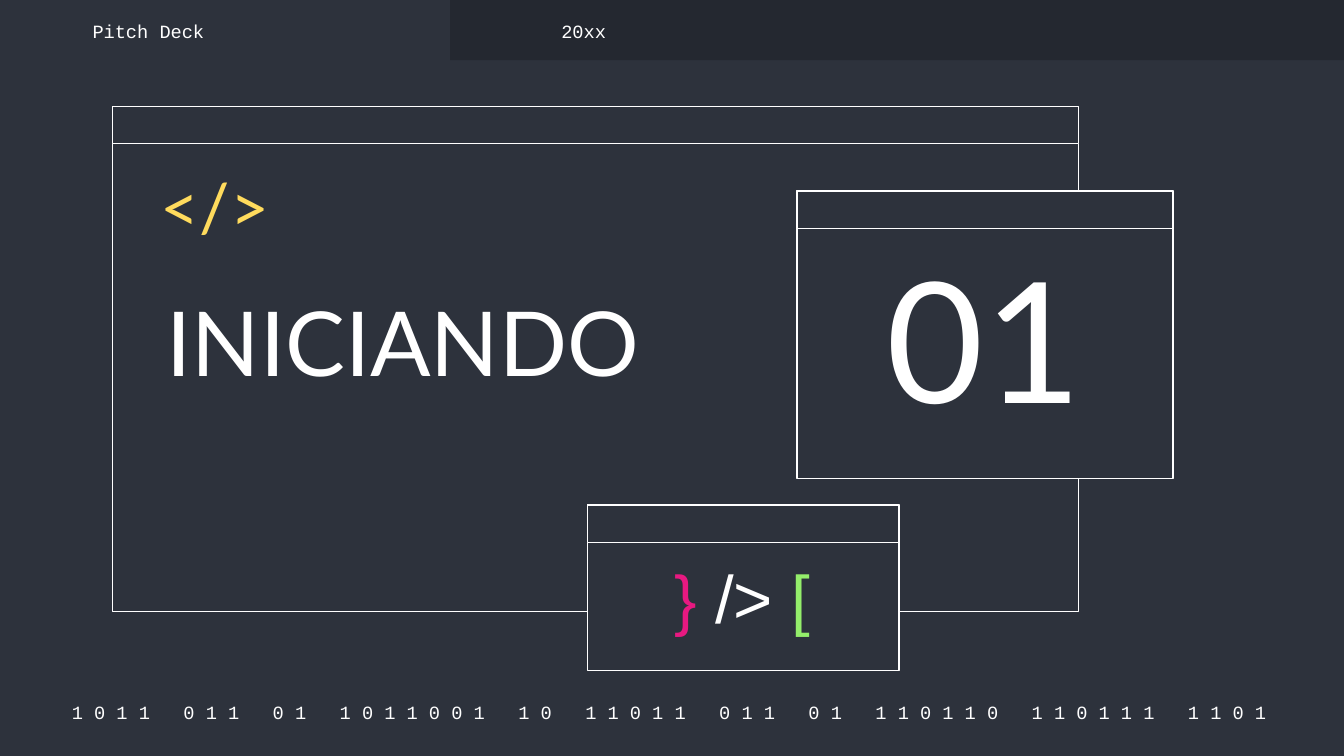
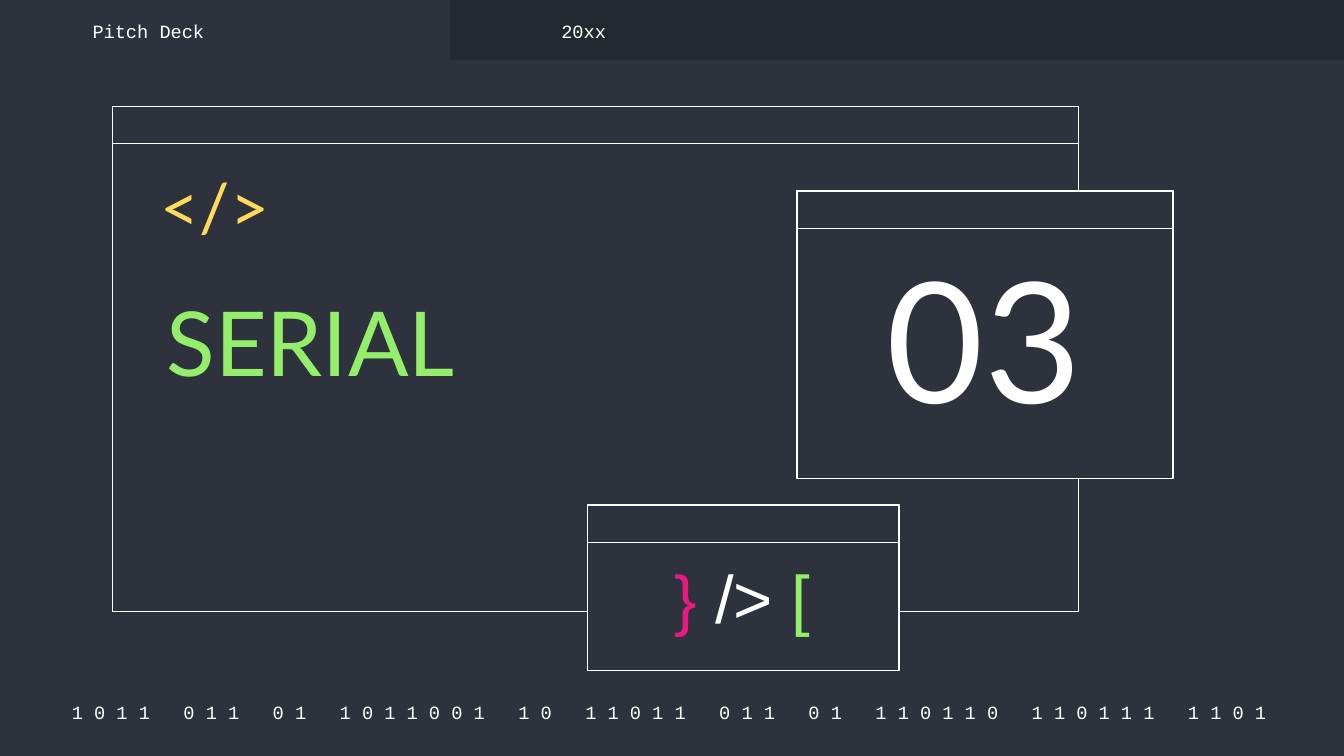
"""Builds the section-opening slides of a code-themed pitch deck."""
from typing import NamedTuple

from pptx import Presentation
from pptx import util as u
from pptx.dml.color import RGBColor
from pptx.enum import shapes, text

BACKDROP, BAND, WHITE = "2D323C", "242830", "FFFFFF"
YELLOW, PINK, GREEN = "FFDB5D", "E81981", "94EE6B"
HEADING_FONT, CODE_FONT, SYMBOL_FONT = "Lato", "Courier New", "Arial"
BAR_HEIGHT = 0.71
BITS = "1011 011 01 1011001 10 11011 011 01 110110 110111 1101"
SPACED_BITS = "   ".join(" ".join(word) for word in BITS.split()) + " "


class Box(NamedTuple):
    left: float
    top: float
    width: float
    height: float

    def lengths(self) -> list[u.Length]:
        return [u.Cm(side) for side in self]


class Run(NamedTuple):
    words: str
    color: str = WHITE


class Section(NamedTuple):
    title: str
    number: str
    color: str


MAIN_WINDOW = Box(2.13, 2.01, 18.26, 9.55)
SNIPPET_WINDOW = Box(11.1, 9.55, 5.89, 3.12)
NUMBER_WINDOW = Box(15.06, 3.61, 7.11, 5.44)
SECTIONS = [Section("INICIANDO", "01", WHITE), Section("SERIAL", "03", GREEN)]


def rgb(color: str) -> RGBColor:
    return RGBColor.from_string(color)


def write(shape, *runs: Run, size: float, font: str = HEADING_FONT,
          align=text.PP_ALIGN.LEFT, anchor=text.MSO_ANCHOR.TOP, spacing: float = 1.0) -> None:
    frame = shape.text_frame
    frame.word_wrap = True
    frame.auto_size = text.MSO_AUTO_SIZE.NONE
    frame.vertical_anchor = anchor
    frame.margin_left = frame.margin_top = frame.margin_right = frame.margin_bottom = u.Cm(0.25)
    paragraph = frame.paragraphs[0]
    paragraph.alignment = align
    paragraph.line_spacing = spacing
    for words, color in runs:
        run = paragraph.add_run()
        run.text = words
        run.font.name = font
        run.font.size = u.Pt(size)
        run.font.color.rgb = rgb(color)


def add_text(slide, box: Box, *runs: Run, **style) -> None:
    write(slide.shapes.add_textbox(*box.lengths()), *runs, **style)


def add_rectangle(owner, box: Box, fill: str, outline: str | None = None) -> None:
    rectangle = owner.shapes.add_shape(shapes.MSO_SHAPE.RECTANGLE, *box.lengths())
    rectangle.shadow.inherit = False
    rectangle.fill.solid()
    rectangle.fill.fore_color.rgb = rgb(fill)
    if outline:
        rectangle.line.color.rgb = rgb(outline)
        rectangle.line.width = u.Pt(0.75)
    else:
        rectangle.line.fill.background()


def add_window(slide, box: Box) -> None:
    window = slide.shapes.add_group_shape()
    for part in (box, box._replace(height=BAR_HEIGHT)):
        add_rectangle(window, part, BACKDROP, WHITE)


def place_title(slide, section: Section) -> None:
    title = slide.shapes.title
    title.left, title.top, title.width, title.height = Box(2.9, 5.18, 12.17, 2.29).lengths()
    title.element.getparent().append(title.element)
    write(title, Run(section.title, section.color), size=48)


def add_frame(slide) -> None:
    label = dict(size=10, font=CODE_FONT, anchor=text.MSO_ANCHOR.MIDDLE)
    add_text(slide, Box(0.97, 13.21, 23.55, 0.51), Run(SPACED_BITS),
             align=text.PP_ALIGN.CENTER, **label)
    add_rectangle(slide, Box(8.51, 0, 16.89, 1.14), BAND)
    for left, words in ((1.5, "Pitch Deck"), (10.36, "20xx")):
        add_text(slide, Box(left, 0.33, 5.56, 0.51), Run(words), **label)


def add_section(deck, section: Section) -> None:
    slide = deck.slides.add_slide(deck.slide_layouts.get_by_name("Title Only"))
    add_frame(slide)
    for window in (MAIN_WINDOW, SNIPPET_WINDOW, NUMBER_WINDOW):
        add_window(slide, window)
    place_title(slide, section)
    add_text(slide, Box(15.52, 4.32, 6.17, 4.19), Run(section.number), size=90,
             align=text.PP_ALIGN.CENTER, anchor=text.MSO_ANCHOR.BOTTOM)
    add_text(slide, Box(2.34, 3.05, 3, 1.57), Run("</>", YELLOW), size=36,
             align=text.PP_ALIGN.RIGHT, spacing=0.9)
    add_text(slide, Box(12.34, 10.44, 3.38, 2.08), Run("}", PINK), Run(" /> "), Run("[", GREEN),
             size=36, font=SYMBOL_FONT, align=text.PP_ALIGN.CENTER, spacing=0.9)


def main() -> None:
    deck = Presentation()
    deck.slide_width, deck.slide_height = u.Cm(25.4), u.Cm(14.29)
    backdrop = deck.slide_master.background.fill
    backdrop.solid()
    backdrop.fore_color.rgb = rgb(BACKDROP)
    for section in SECTIONS:
        add_section(deck, section)
    deck.save("out.pptx")


if __name__ == "__main__":
    main()
